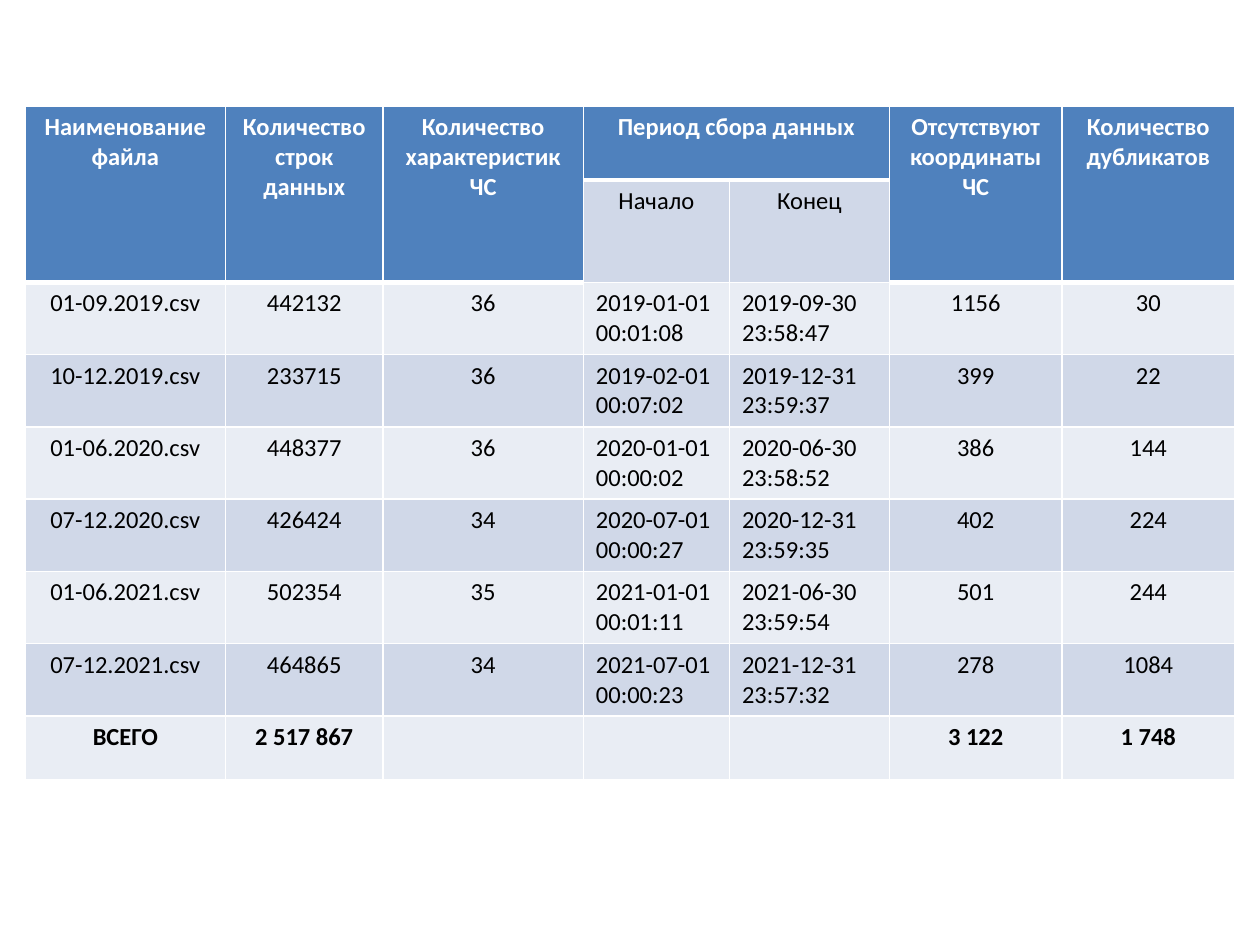
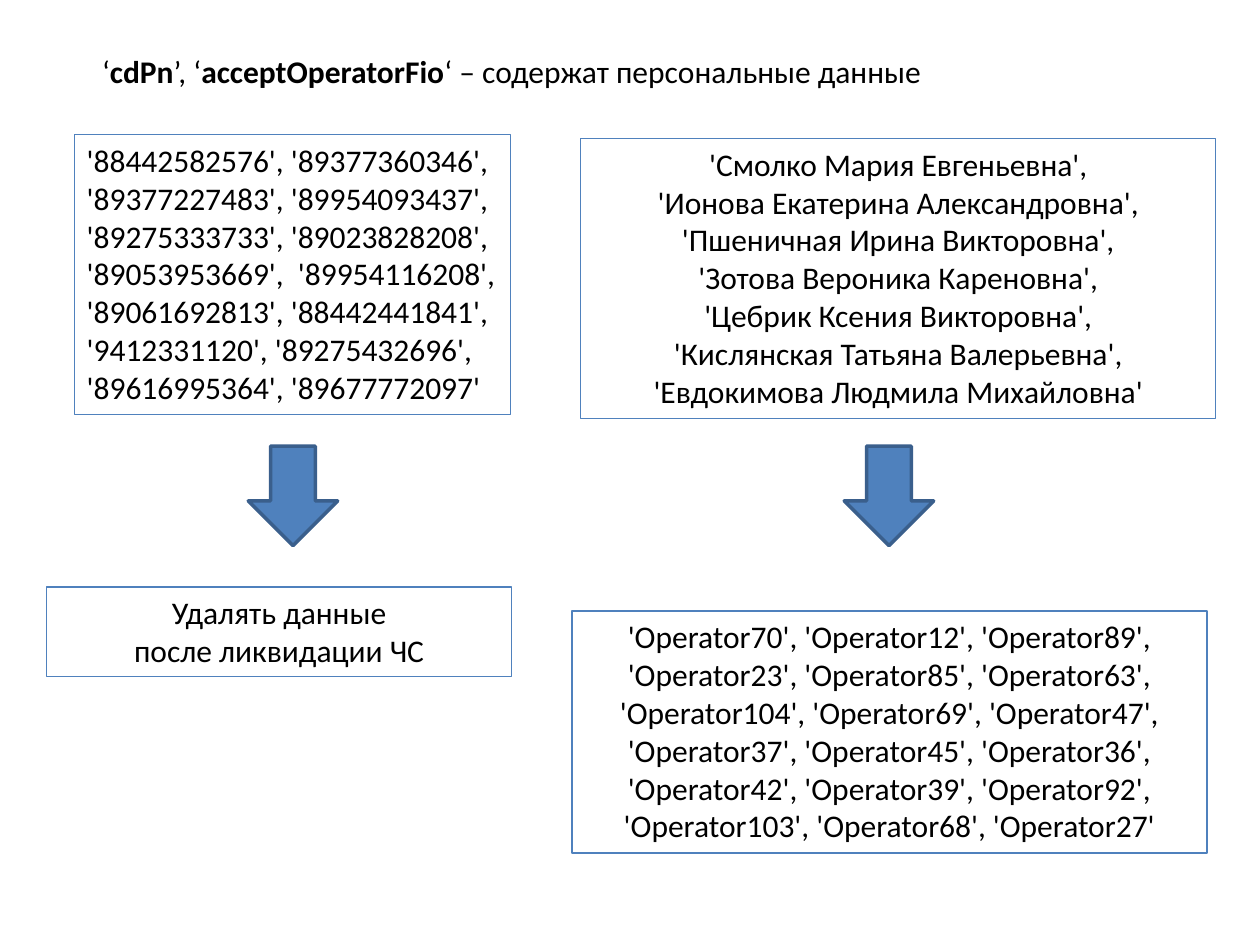
from lxml import etree
from pptx import Presentation
from pptx.dml.color import RGBColor
from pptx.enum import shapes, text
from pptx.oxml.ns import qn
from pptx.util import Inches, Pt

FONT = "Calibri"
BLUE, DARK_BLUE = "4F81BD", "3A5F8C"
BAND_DARK, BAND_LIGHT = "D0D8E8", "E9EDF4"
WHITE, BLACK = "FFFFFF", "000000"
LEFT, CENTER = text.PP_ALIGN.LEFT, text.PP_ALIGN.CENTER

COLUMN_WIDTHS = [1.59, 1.25, 1.59, 1.16, 1.27, 1.37, 1.37]
ROW_HEIGHTS = [0.59, 0.2] + [0.51] * 7
PERIOD_COLUMNS = (3, 4)
FILE_ROWS = [
    ["Наименование файла", "Количество строк данных", "Количество характеристик ЧС",
     "Период сбора данных", "", "Отсутствуют координаты ЧС", "Количество дубликатов"],
    ["", "", "", "Начало", "Конец", "", ""],
    ["01-09.2019.csv", "442132", "36", "2019-01-01 00:01:08", "2019-09-30 23:58:47", "1156", "30"],
    ["10-12.2019.csv", "233715", "36", "2019-02-01 00:07:02", "2019-12-31 23:59:37", "399", "22"],
    ["01-06.2020.csv", "448377", "36", "2020-01-01 00:00:02", "2020-06-30 23:58:52", "386", "144"],
    ["07-12.2020.csv", "426424", "34", "2020-07-01 00:00:27", "2020-12-31 23:59:35", "402", "224"],
    ["01-06.2021.csv", "502354", "35", "2021-01-01 00:01:11", "2021-06-30 23:59:54", "501", "244"],
    ["07-12.2021.csv", "464865", "34", "2021-07-01 00:00:23", "2021-12-31 23:57:32", "278", "1084"],
    ["ВСЕГО", "2 517 867", "", "", "", "3 122", "1 748"],
]

PHONES = ("'88442582576', '89377360346', '89377227483', '89954093437', "
          "'89275333733', '89023828208', '89053953669',  '89954116208', "
          "'89061692813', '88442441841', '9412331120', '89275432696', "
          "'89616995364', '89677772097'")
OPERATOR_NAMES = [
    "'Смолко Мария Евгеньевна',",
    "'Ионова Екатерина Александровна', 'Пшеничная Ирина Викторовна',",
    "'Зотова Вероника Кареновна',",
    "'Цебрик Ксения Викторовна',",
    "'Кислянская Татьяна Валерьевна', 'Евдокимова Людмила Михайловна'",
]
OPERATOR_NUMBERS = [70, 12, 89, 23, 85, 63, 104, 69, 47, 37, 45, 36, 42, 39, 92, 103, 68, 27]


def color(hex_value):
    return RGBColor.from_string(hex_value)


def format_font(font, size, hex_color=BLACK, bold=False):
    for name, value in {"name": FONT, "size": Pt(size), "bold": bold}.items():
        setattr(font, name, value)
    font.color.rgb = color(hex_color)


def paint(shape, fill, line, width):
    shape.shadow.inherit = False
    if fill:
        shape.fill.solid()
        shape.fill.fore_color.rgb = color(fill)
    else:
        shape.fill.background()
    shape.line.color.rgb = color(line)
    shape.line.width = Pt(width)


def place(shape, left, top, width, height):
    lengths = {"left": left, "top": top, "width": width, "height": height}
    for name, value in lengths.items():
        setattr(shape, name, Inches(value))


def add_title(slide, left, top, width, height, runs):
    """Fill the title with (text, bold) runs."""
    title = slide.shapes.title
    place(title, left, top, width, height)
    frame = title.text_frame
    frame.word_wrap = True
    frame.auto_size = text.MSO_AUTO_SIZE.NONE
    frame.vertical_anchor = text.MSO_ANCHOR.TOP
    paragraph = frame.paragraphs[0]
    paragraph.alignment = LEFT
    for words, bold in runs:
        run = paragraph.add_run()
        run.text = words
        format_font(run.font, 18, bold=bold)


def add_framed_text(slide, left, top, width, height, lines, alignment=CENTER):
    box = slide.shapes.add_textbox(*map(Inches, (left, top, width, height)))
    paint(box, None, BLUE, 0.75)
    frame = box.text_frame
    frame.word_wrap = True
    frame.text = "\n".join(lines)
    for paragraph in frame.paragraphs:
        paragraph.alignment = alignment
        format_font(paragraph.font, 18)


def add_down_arrow(slide, left, top):
    arrow = slide.shapes.add_shape(
        shapes.MSO_SHAPE.DOWN_ARROW, *map(Inches, (left, top, 0.71, 0.79)))
    paint(arrow, BLUE, DARK_BLUE, 2)


def is_header(row, column):
    return row == 0 or (row == 1 and column not in PERIOD_COLUMNS)


def bottom_width(row, column):
    return 3 if row >= 0 and is_header(row, column) else 1


def add_borders(cell, widths):
    properties = cell._tc.get_or_add_tcPr()
    for side, width in widths.items():
        line = etree.SubElement(properties, qn(f"a:ln{side}"), w=str(Pt(width)))
        fill = etree.SubElement(line, qn("a:solidFill"))
        etree.SubElement(fill, qn("a:srgbClr"), val=WHITE)


def format_cell(cell, row, column, words):
    header = is_header(row, column)
    add_borders(cell, {"L": 1, "R": 1, "T": bottom_width(row - 1, column),
                       "B": bottom_width(row, column)})
    band = BAND_DARK if row % 2 else BAND_LIGHT
    cell.fill.solid()
    cell.fill.fore_color.rgb = color(BLUE if header else band)
    cell.text = words
    paragraph = cell.text_frame.paragraphs[0]
    is_date = row > 1 and column in PERIOD_COLUMNS
    paragraph.alignment = LEFT if is_date else CENTER
    is_total = row == len(FILE_ROWS) - 1
    format_font(paragraph.font, 14, WHITE if header else BLACK, header or is_total)


def add_file_table(slide, left, top):
    frame = slide.shapes.add_table(
        len(ROW_HEIGHTS), len(COLUMN_WIDTHS), Inches(left), Inches(top),
        Inches(sum(COLUMN_WIDTHS)), Inches(sum(ROW_HEIGHTS)))
    table = frame.table
    for column, width in zip(table.columns, COLUMN_WIDTHS):
        column.width = Inches(width)
    for row, height in zip(table.rows, ROW_HEIGHTS):
        row.height = Inches(height)
    for row, values in enumerate(FILE_ROWS):
        for column, words in enumerate(values):
            format_cell(table.cell(row, column), row, column, words)
    first, last = PERIOD_COLUMNS
    table.cell(0, first).merge(table.cell(0, last))
    for column in range(len(COLUMN_WIDTHS)):
        if column not in PERIOD_COLUMNS:
            table.cell(0, column).merge(table.cell(1, column))


def build_files_slide(presentation):
    slide = presentation.slides.add_slide(presentation.slide_layouts.get_by_name("Blank"))
    add_file_table(slide, 0.2, 0.84)


def build_personal_data_slide(presentation):
    slide = presentation.slides.add_slide(presentation.slide_layouts.get_by_name("Title Only"))
    add_title(slide, 0.71, 0.36, 6.97, 0.4, [
        ("‘", False), ("cdPn", True), ("’, ‘", False), ("acceptOperatorFio", True),
        ("‘ – содержат персональные данные", False)])
    add_framed_text(slide, 0.59, 1.07, 3.46, 2.22, [PHONES], LEFT)
    add_framed_text(slide, 4.61, 1.1, 5.04, 2.22, OPERATOR_NAMES)
    for left in (1.97, 6.7):
        add_down_arrow(slide, left, 3.54)
    add_framed_text(slide, 0.37, 4.66, 3.69, 0.71, ["Удалять данные", "после ликвидации ЧС"])
    codes = ", ".join(f"'Operator{number}'" for number in OPERATOR_NUMBERS)
    add_framed_text(slide, 4.54, 4.85, 5.04, 1.92, [codes])


def main():
    presentation = Presentation()
    presentation.slide_width, presentation.slide_height = Inches(10), Inches(7.5)
    build_files_slide(presentation)
    build_personal_data_slide(presentation)
    presentation.save("out.pptx")


if __name__ == "__main__":
    main()
